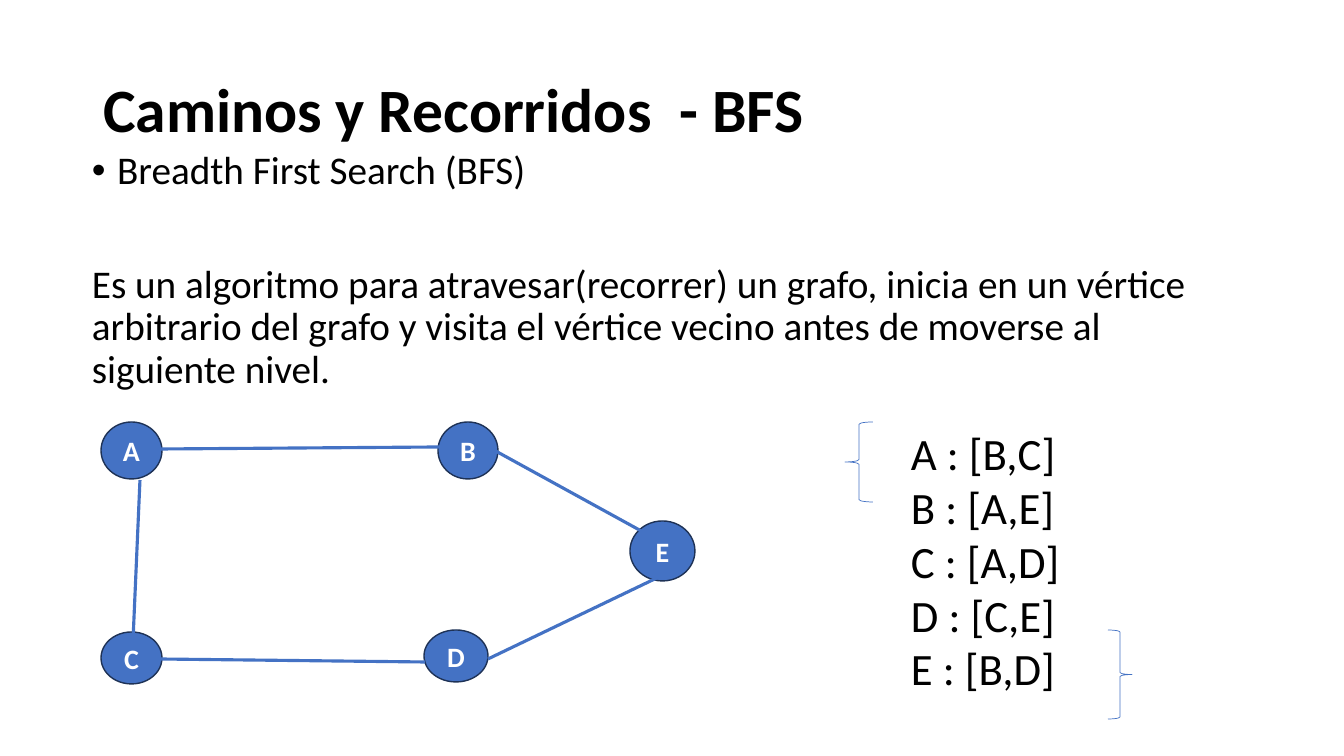
from lxml import etree
from pptx import Presentation
from pptx.dml.color import RGBColor
from pptx.enum.shapes import MSO_CONNECTOR, MSO_SHAPE
from pptx.enum.text import MSO_ANCHOR, MSO_AUTO_SIZE, PP_ALIGN
from pptx.oxml.ns import qn
from pptx.util import Pt

TITLE = "Caminos y Recorridos  - BFS"
TOPIC = "Breadth First Search (BFS)"
DEFINITION = (
    "Es un algoritmo para atravesar(recorrer) un grafo, inicia en un "
    "vértice arbitrario del grafo y visita el vértice vecino antes de "
    "moverse al siguiente nivel."
)
ADJACENCY = {"A": "B,C", "B": "A,E", "C": "A,D", "D": "C,E", "E": "B,D"}

TITLE_BOX = (93, 40, 1159, 146)
BODY_BOX = (82, 146, 1159, 480)
ADJACENCY_BOX = (901, 421, 245, 281)
NODES = {
    "A": (101, 422, 61, 57),
    "E": (630, 521, 65, 60),
    "C": (101, 632, 61, 52),
    "D": (424, 630, 64, 52),
    "B": (438, 422, 60, 57),
}
EDGES = [
    (159, 449, 440, 447),
    (158, 659, 425, 662),
    (492, 449, 654, 538),
    (488, 659, 663, 575),
    (140, 480, 133, 641),
]
LEFT_BRACE = MSO_SHAPE.LEFT_BRACE
RIGHT_BRACE = MSO_SHAPE.RIGHT_BRACE
BRACES = [
    (LEFT_BRACE, (845, 422, 28, 80)),
    (RIGHT_BRACE, (1108, 630, 24, 89)),
]

OVAL = MSO_SHAPE.OVAL
STRAIGHT = MSO_CONNECTOR.STRAIGHT
MIDDLE = MSO_ANCHOR.MIDDLE
TOP = MSO_ANCHOR.TOP
NO_AUTOFIT = MSO_AUTO_SIZE.NONE
LEFT = PP_ALIGN.LEFT
CENTER = PP_ALIGN.CENTER

BLACK = RGBColor(0x00, 0x00, 0x00)
WHITE = RGBColor(0xFF, 0xFF, 0xFF)
BLUE = RGBColor(0x44, 0x72, 0xC4)
NAVY = RGBColor(0x1E, 0x32, 0x56)
FONT = "Calibri"
EMU_PER_PX = 914400 / 100.8


def emu(lengths):
    return [round(length * EMU_PER_PX) for length in lengths]


def place(shape, box):
    shape.left, shape.top, shape.width, shape.height = emu(box)


def write(shape, lines, size, color=BLACK, bold=False, align=LEFT, anchor=TOP):
    frame = shape.text_frame
    frame.word_wrap = True
    frame.auto_size = NO_AUTOFIT
    frame.vertical_anchor = anchor
    frame.text = "\n".join(lines)
    for paragraph in frame.paragraphs:
        paragraph.alignment = align
        font = paragraph.font
        font.name, font.size, font.bold = FONT, Pt(size), bold
        font.color.rgb = color
    return frame.paragraphs


def add_bullet(paragraph):
    properties = paragraph._p.get_or_add_pPr()
    properties.set("marL", str(Pt(18)))
    properties.set("indent", str(-Pt(18)))
    bullet_font = etree.Element(qn("a:buFont"), typeface="Arial")
    bullet = etree.Element(qn("a:buChar"), char="•")
    defaults = properties.find(qn("a:defRPr"))
    defaults.addprevious(bullet_font)
    defaults.addprevious(bullet)


def add_outlined(slide, kind, box, color, width):
    shape = slide.shapes.add_shape(kind, *emu(box))
    shape.shadow.inherit = False
    shape.line.color.rgb = color
    shape.line.width = Pt(width)
    return shape


def add_title(slide):
    title = slide.shapes.title
    place(title, TITLE_BOX)
    write(title, [TITLE], 44, bold=True, anchor=MIDDLE)[0].line_spacing = 0.9


def add_body(slide):
    body = slide.shapes.add_textbox(*emu(BODY_BOX))
    topic, definition = write(body, [TOPIC, DEFINITION], 28)
    add_bullet(topic)
    topic.line_spacing = definition.line_spacing = 0.9
    definition.space_before = Pt(51)


def add_graph(slide):
    for name, box in NODES.items():
        node = add_outlined(slide, OVAL, box, NAVY, 1)
        node.fill.solid()
        node.fill.fore_color.rgb = BLUE
        write(node, [name], 20, WHITE, True, CENTER, MIDDLE)
    for ends in EDGES:
        edge = slide.shapes.add_connector(STRAIGHT, *emu(ends))
        edge.line.color.rgb = BLUE
        edge.line.width = Pt(2.25)
        etree.SubElement(edge._element.spPr, qn("a:effectLst"))


def add_adjacency(slide):
    lines = [f"{node} : [{neighbours}]" for node, neighbours in ADJACENCY.items()]
    write(slide.shapes.add_textbox(*emu(ADJACENCY_BOX)), lines, 32)
    for kind, box in BRACES:
        add_outlined(slide, kind, box, BLUE, 0.5).fill.background()


def main():
    presentation = Presentation()
    presentation.slide_width, presentation.slide_height = emu((1344, 756))
    slide = presentation.slides.add_slide(presentation.slide_layouts[5])
    add_title(slide)
    add_body(slide)
    add_graph(slide)
    add_adjacency(slide)
    presentation.save("out.pptx")


if __name__ == "__main__":
    main()
